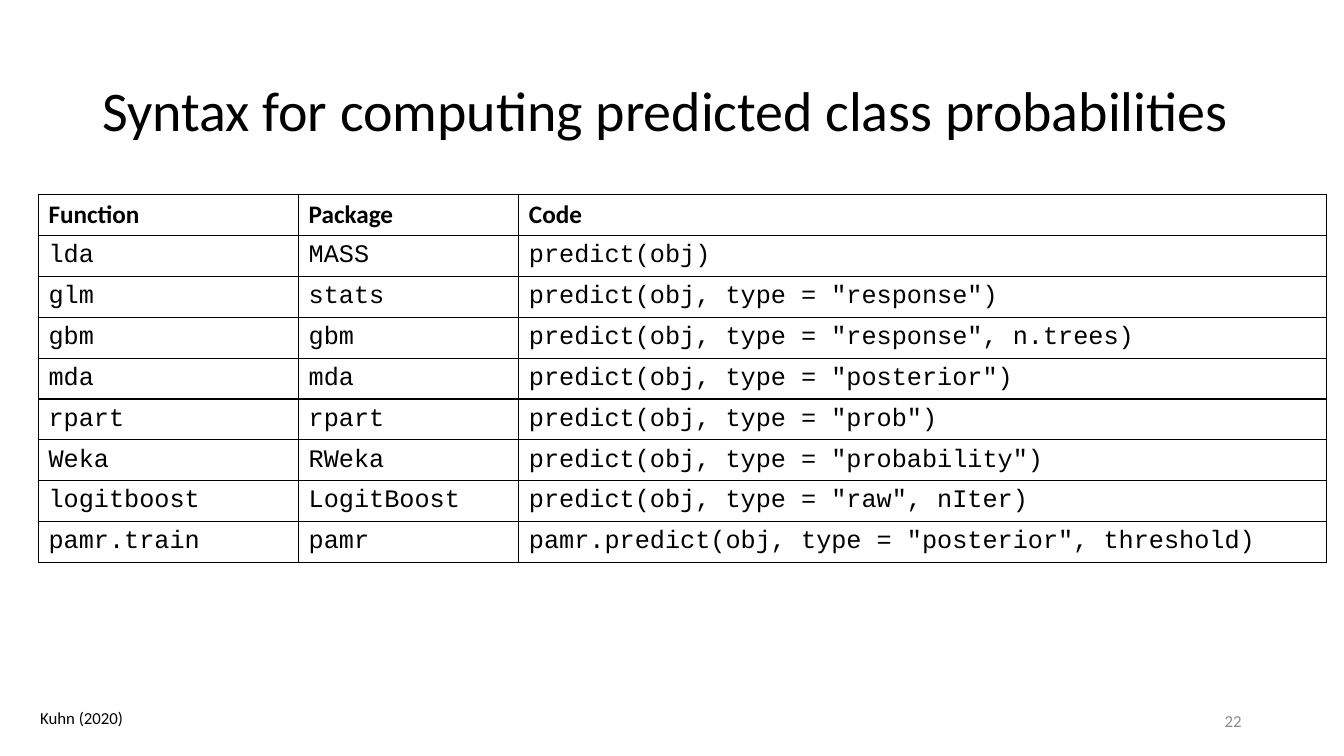
from dataclasses import dataclass

from lxml import etree
from pptx import Presentation
from pptx.dml.color import RGBColor
from pptx.enum import text
from pptx.oxml import ns
from pptx.util import Pt


@dataclass(frozen=True)
class Theme:
    ink: str = "000000"
    muted: str = "8C8C8C"
    paper: str = "FFFFFF"
    body_font: str = "Calibri"
    code_font: str = "Courier New"
    title_size: float = 40
    table_size: float = 18
    footer_size: float = 12
    border_width: float = 1


THEME = Theme()

HEADINGS = ("Function", "Package", "Code")
PREDICTIONS = (
    ("lda", "MASS", 'predict(obj)'),
    ("glm", "stats", 'predict(obj, type = "response")'),
    ("gbm", "gbm", 'predict(obj, type = "response", n.trees)'),
    ("mda", "mda", 'predict(obj, type = "posterior")'),
    ("rpart", "rpart", 'predict(obj, type = "prob")'),
    ("Weka", "RWeka", 'predict(obj, type = "probability")'),
    ("logitboost", "LogitBoost", 'predict(obj, type = "raw", nIter)'),
    ("pamr.train", "pamr", 'pamr.predict(obj, type = "posterior", threshold)'),
)
COLUMN_SHARES = (0.202, 0.171, 0.627)


def format_runs(paragraph, size, color=THEME.ink, font=THEME.body_font, bold=False):
    for run in paragraph.runs:
        run.font.size = Pt(size)
        run.font.name = font
        run.font.bold = bold
        run.font.color.rgb = RGBColor.from_string(color)


def add_label(slide, box, wording, size, color=THEME.ink,
              anchor=text.MSO_ANCHOR.MIDDLE, align=text.PP_ALIGN.LEFT):
    """Add one wrapped line of text in box (left, top, width, height) and return its paragraph."""
    frame = slide.shapes.add_textbox(*map(Pt, box)).text_frame
    frame.word_wrap = True
    frame.vertical_anchor = anchor
    frame.text = wording
    paragraph = frame.paragraphs[0]
    paragraph.alignment = align
    format_runs(paragraph, size, color)
    return paragraph


def add_title(slide, box, wording):
    add_label(slide, box, wording, THEME.title_size).line_spacing = 0.9


def add_borders(cell):
    properties = cell._tc.get_or_add_tcPr()
    for position, side in enumerate(("lnL", "lnR", "lnT", "lnB")):
        line = etree.Element(ns.qn(f"a:{side}"), w=str(Pt(THEME.border_width)))
        fill = etree.SubElement(line, ns.qn("a:solidFill"))
        etree.SubElement(fill, ns.qn("a:srgbClr"), val=THEME.ink)
        properties.insert(position, line)


def fill_cell(cell, wording, is_heading):
    cell.text = wording
    cell.fill.solid()
    cell.fill.fore_color.rgb = RGBColor.from_string(THEME.paper)
    cell.vertical_anchor = text.MSO_ANCHOR.TOP if is_heading else text.MSO_ANCHOR.MIDDLE
    font = THEME.body_font if is_heading else THEME.code_font
    format_runs(cell.text_frame.paragraphs[0], THEME.table_size, font=font, bold=is_heading)
    add_borders(cell)


def add_syntax_table(slide, box):
    rows = (HEADINGS, *PREDICTIONS)
    left, top, width, height = box
    table = slide.shapes.add_table(len(rows), len(HEADINGS), *map(Pt, box)).table
    table.first_row = table.horz_banding = False
    for column, share in zip(table.columns, COLUMN_SHARES):
        column.width = Pt(width * share)
    for row_index, row in enumerate(rows):
        table.rows[row_index].height = Pt(height / len(rows))
        for column_index, wording in enumerate(row):
            fill_cell(table.cell(row_index, column_index), wording, row_index == 0)


def add_footer(slide, box, source, number):
    """Put the source at the left of the box and the slide number at its right."""
    left, top, width, height = box
    add_label(slide, (left, top + 1.4, 158, 21.6), source, THEME.footer_size,
              anchor=text.MSO_ANCHOR.TOP)
    number_width = 216
    add_label(slide, (left + width - number_width, top, number_width, height), number,
              THEME.footer_size, THEME.muted, align=text.PP_ALIGN.RIGHT)


def main():
    presentation = Presentation()
    presentation.slide_width, presentation.slide_height = Pt(960), Pt(540)
    slide = presentation.slides.add_slide(presentation.slide_layouts[6])
    add_title(slide, (66, 28.8, 828, 104.4), "Syntax for computing predicted class probabilities")
    add_syntax_table(slide, (27.5, 139, 920, 263))
    add_footer(slide, (21.6, 500.5, 872.4, 28.8), "Kuhn (2020)", "22")
    presentation.save("out.pptx")


if __name__ == "__main__":
    main()
